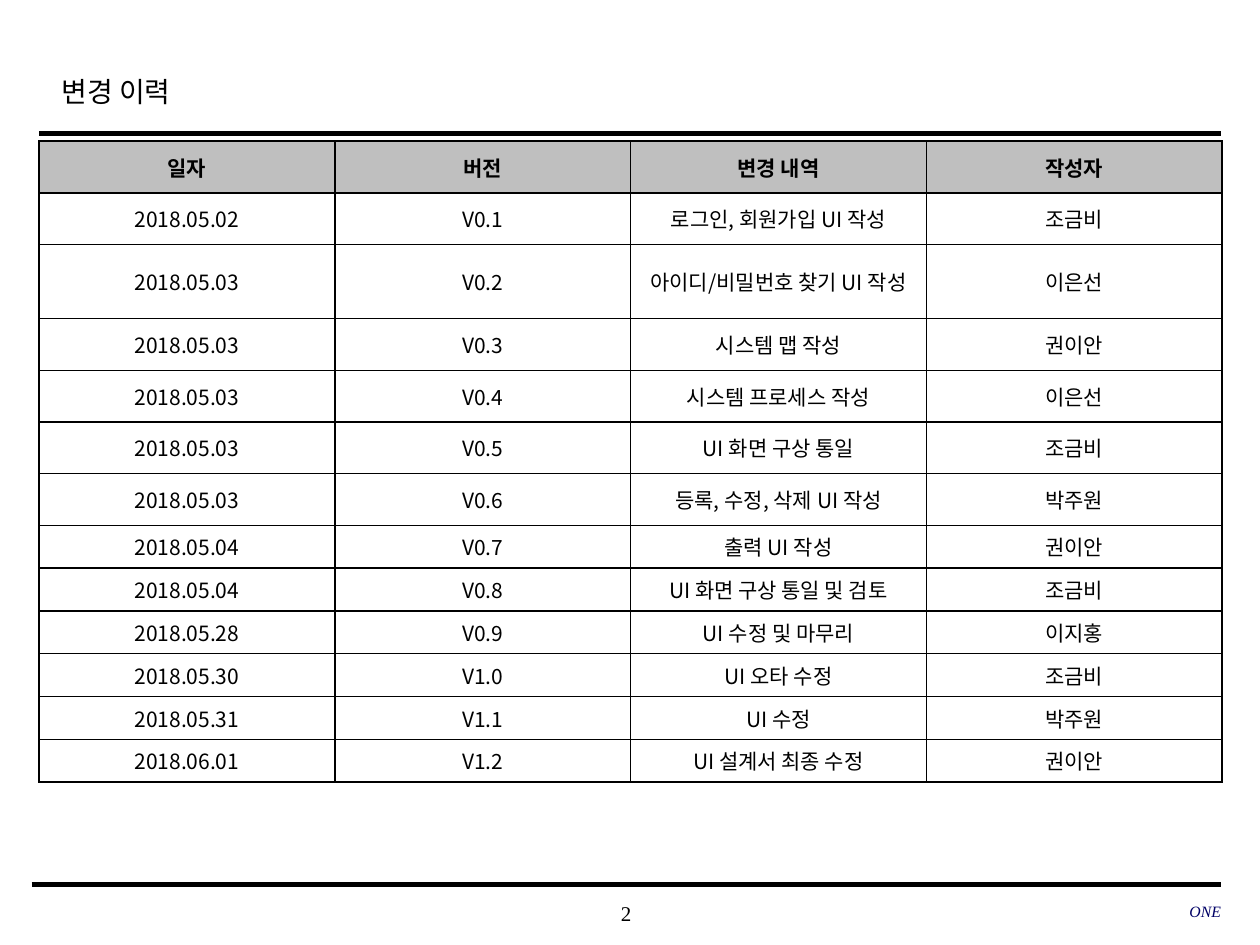
import pptx
import pptx.dml.color
import pptx.enum.shapes
import pptx.enum.text
import pptx.oxml
import pptx.oxml.ns
import pptx.util
from pptx.util import Inches

BLACK = pptx.dml.color.RGBColor(0x00, 0x00, 0x00)
WHITE = pptx.dml.color.RGBColor(0xFF, 0xFF, 0xFF)
GRAY = pptx.dml.color.RGBColor(0xBF, 0xBF, 0xBF)
NAVY = pptx.dml.color.RGBColor(0x00, 0x00, 0x66)

SERIF = "Times New Roman"
SANS = "Noto Sans CJK KR"
ALIGN = pptx.enum.text.PP_ALIGN
MIDDLE = pptx.enum.text.MSO_ANCHOR.MIDDLE

HEADERS = ("일자", "버전", "변경 내역", "작성자")
REVISIONS = (
    ("2018.05.02", "V0.1", "로그인, 회원가입 UI 작성", "조금비"),
    ("2018.05.03", "V0.2", "아이디/비밀번호 찾기 UI 작성", "이은선"),
    ("2018.05.03", "V0.3", "시스템 맵 작성", "권이안"),
    ("2018.05.03", "V0.4", "시스템 프로세스 작성", "이은선"),
    ("2018.05.03", "V0.5", "UI 화면 구상 통일", "조금비"),
    ("2018.05.03", "V0.6", "등록, 수정, 삭제 UI 작성", "박주원"),
    ("2018.05.04", "V0.7", "출력 UI 작성", "권이안"),
    ("2018.05.04", "V0.8", "UI 화면 구상 통일 및 검토", "조금비"),
    ("2018.05.28", "V0.9", "UI 수정 및 마무리", "이지홍"),
    ("2018.05.30", "V1.0", "UI 오타 수정", "조금비"),
    ("2018.05.31", "V1.1", "UI 수정", "박주원"),
    ("2018.06.01", "V1.2", "UI 설계서 최종 수정", "권이안"),
)
# The third row holds two lines of text.
ROW_HEIGHTS = [0.41] * 2 + [0.59] + [0.41] * 4 + [0.34] * 6


def style_paragraph(p, size, name, color=BLACK, align=ALIGN.LEFT):
    p.alignment = align
    p.font.size = pptx.util.Pt(size)
    p.font.name = name
    p.font.color.rgb = color


def add_title(s, text):
    sp = s.shapes.add_textbox(Inches(0.39), Inches(0.49), Inches(7.55), Inches(0.5))
    tf = sp.text_frame
    tf.word_wrap = True
    tf.text = text
    p = tf.paragraphs[0]
    p.line_spacing = 1.2
    style_paragraph(p, 16, SERIF)


def add_footer(s, text, left, top, width, size, color, align):
    """Add a footer text without margins and return its paragraph."""
    sp = s.shapes.add_textbox(Inches(left), Inches(top), Inches(width), Inches(0.33))
    tf = sp.text_frame
    tf.word_wrap = True
    tf.vertical_anchor = MIDDLE
    tf.margin_left = tf.margin_right = tf.margin_top = tf.margin_bottom = 0
    tf.text = text
    p = tf.paragraphs[0]
    style_paragraph(p, size, SERIF, color, align)
    return p


def add_rule(s, left, y, width):
    """Add a horizontal black line that ends at the right margin."""
    line = s.shapes.add_connector(
        pptx.enum.shapes.MSO_CONNECTOR.STRAIGHT,
        Inches(left), Inches(y), Inches(9.69), Inches(y))
    line.line.color.rgb = BLACK
    line.line.width = pptx.util.Pt(width)
    line._element.spPr.append(pptx.oxml.parse_xml(
        f"<a:effectLst {pptx.oxml.ns.nsdecls('a')}/>"))


def add_borders(cell):
    """Draw a 1 pt line on all sides; borders must precede the cell fill."""
    tcPr = cell._tc.get_or_add_tcPr()
    for i, side in enumerate(("lnL", "lnR", "lnT", "lnB")):
        tcPr.insert(i, pptx.oxml.parse_xml(
            f"<a:{side} {pptx.oxml.ns.nsdecls('a')} w='12700'><a:solidFill>"
            f"<a:srgbClr val='{BLACK}'/></a:solidFill></a:{side}>"))


def fill_cell(cell, text, is_header):
    cell.text = text
    cell.vertical_anchor = MIDDLE
    cell.fill.solid()
    cell.fill.fore_color.rgb = GRAY if is_header else WHITE
    p = cell.text_frame.paragraphs[0]
    style_paragraph(p, 12, SANS, align=ALIGN.CENTER)
    p.font.bold = is_header
    add_borders(cell)


def add_history_table(s):
    rows = (HEADERS, *REVISIONS)
    table = s.shapes.add_table(
        len(rows), len(HEADERS),
        Inches(0.31), Inches(1.12), Inches(9.39), Inches(sum(ROW_HEIGHTS))).table
    for r, (texts, height) in enumerate(zip(rows, ROW_HEIGHTS)):
        table.rows[r].height = Inches(height)
        for c, text in enumerate(texts):
            fill_cell(table.cell(r, c), text, r == 0)


def main():
    prs = pptx.Presentation()
    prs.slide_width, prs.slide_height = Inches(10), Inches(7.5)
    s = prs.slides.add_slide(prs.slide_layouts[6])
    add_footer(s, "2", 3.93, 7.08, 2.08, 12, BLACK, ALIGN.CENTER)
    add_rule(s, 0.31, 1.06, 2.5)
    add_rule(s, 0.25, 7.02, 3)
    add_title(s, "변경 이력")
    add_history_table(s)
    team = add_footer(s, "ONE", 6.63, 7.07, 3.06, 9, NAVY, ALIGN.RIGHT)
    team.font.italic = True
    prs.save("out.pptx")


if __name__ == "__main__":
    main()
